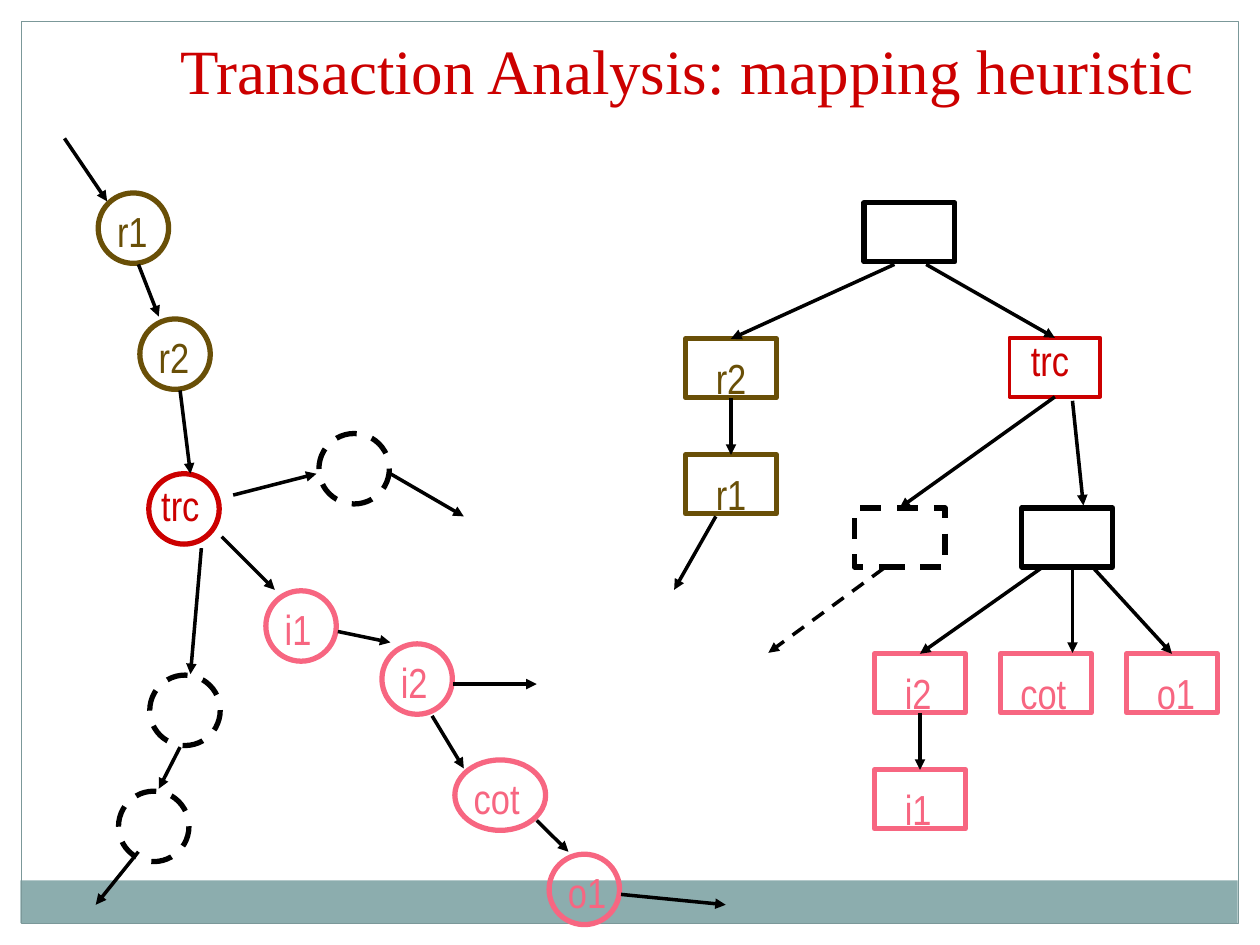
from dataclasses import dataclass
from typing import NamedTuple

from lxml import etree
from pptx import Presentation
from pptx.dml.color import RGBColor as Rgb
from pptx.enum.dml import MSO_LINE as Dash
from pptx.enum.shapes import MSO_CONNECTOR as Conn, MSO_SHAPE as Kind
from pptx.enum.text import MSO_AUTO_SIZE as Fit, PP_ALIGN as Align
from pptx.oxml.ns import qn
from pptx.util import Cm, Pt


@dataclass(frozen=True)
class Theme:
    brown: str = "694F07"
    red: str = "CC0000"
    pink: str = "F76681"
    black: str = "000000"
    band: str = "8CADAE"
    frame: str = "7B9899"
    serif: str = "Times New Roman"
    narrow: str = "Arial Narrow"
    title: int = 36
    label: int = 24
    node: float = 3
    arrow: float = 2
    edge: float = 0.75


T = Theme()
CIRCLE = (1.42, 1.42)
BOX = (1.83, 1.19)
LABEL_W = {"r1": 1.14, "r2": 1.14, "i1": 1.04, "i2": 1.04,
           "trc": 1.3, "o1": 1.3, "cot": 1.45}
BOTTOM, TOP = 2, 0


class Node(NamedTuple):
    key: str
    x: float
    y: float
    color: str
    text: str = ""
    size: tuple = CIRCLE
    shift: tuple = (0.13, 0.13)  # label offset from the outline
    kind: Kind = Kind.OVAL
    width: float = T.node
    dash: bool = False


class Arrow(NamedTuple):
    x1: float
    y1: float
    x2: float
    y2: float
    start: str = ""  # box joined at its bottom
    end: str = ""    # box joined at its top
    dash: bool = False


def box(key: str, x: float, y: float, color: str, text: str = "",
        shift: tuple = (0.36, 0.15), **more) -> Node:
    return Node(key, x, y, color, text, BOX, shift, Kind.RECTANGLE, **more)


# Data flow on the left
FLOW = [
    Node("r1", 1.98, 3.89, T.brown, "r1"),
    Node("r2", 2.82, 6.43, T.brown, "r2"),
    Node("trc", 3, 9.55, T.red, "trc", shift=(0, 0)),
    Node("i1", 5.36, 11.91, T.pink, "i1"),
    Node("i2", 7.7, 12.98, T.pink, "i2"),
    Node("cot", 9.17, 15.32, T.pink, "cot", size=(1.83, 1.42)),
    Node("o1", 11.07, 17.22, T.pink, "o1"),
    Node("side", 6.43, 8.74, T.black, dash=True),
    Node("low", 3.02, 13.61, T.black, dash=True),
    Node("last", 2.39, 15.95, T.black, dash=True),
]
FLOW_ARROWS = [
    Arrow(1.3, 2.79, 2.16, 4.06),
    Arrow(2.79, 5.33, 3.2, 6.38),
    Arrow(3.63, 7.87, 3.84, 9.55),
    Arrow(4.47, 10.82, 5.54, 11.89),
    Arrow(6.81, 12.73, 7.87, 12.95),
    Arrow(9.14, 13.79, 10.82, 13.79),
    Arrow(8.71, 14.43, 9.35, 15.49),
    Arrow(10.82, 16.54, 11.46, 17.17),
    Arrow(12.52, 18.03, 14.63, 18.24),
    Arrow(4.06, 11.05, 3.84, 13.59),
    Arrow(3.63, 15.06, 3.2, 15.9),
    Arrow(2.79, 17.17, 1.93, 18.24),
    Arrow(4.7, 9.98, 6.38, 9.55),
    Arrow(7.87, 9.55, 9.35, 10.41),
]

# Module tree on the right
LEAF_X, LEAF_Y, STEP = 17.63, 13.18, 2.54
TREE = [
    box("root", 17.42, 4.09, T.black),
    box("r2", 13.82, 6.83, T.brown, "r2"),
    box("r1", 13.82, 9.17, T.brown, "r1"),
    box("trc", 20.35, 6.81, T.red, "trc", (0.18, -0.2), width=T.arrow),
    box("left", 17.22, 10.24, T.black, dash=True),
    box("right", 20.6, 10.24, T.black),
    box("i2", LEAF_X, LEAF_Y, T.pink, "i2"),
    box("cot", LEAF_X + STEP, LEAF_Y, T.pink, "cot", (0.15, 0.15)),
    box("o1", LEAF_X + 2 * STEP, LEAF_Y, T.pink, "o1"),
    box("i1", LEAF_X, 15.52, T.pink, "i1"),
]
TREE_ARROWS = [
    Arrow(18.03, 5.33, 14.86, 6.81, end="r2"),
    Arrow(18.67, 5.33, 21.21, 6.81, end="trc"),
    Arrow(14.63, 8.08, 14.63, 9.14, "r2", "r1"),
    Arrow(14.43, 10.41, 13.59, 11.89),
    Arrow(21.21, 8.08, 18.03, 10.19, "trc", "left"),
    Arrow(21.62, 8.08, 21.84, 10.19),
    Arrow(17.81, 11.46, 15.49, 13.16, dash=True),
    Arrow(20.98, 11.46, 18.67, 13.16, end="i2"),
    Arrow(21.62, 11.46, 21.62, 13.16),
    Arrow(22.05, 11.46, 23.75, 13.16, end="o1"),
    Arrow(18.67, 14.43, 18.67, 15.49, "i2", "i1"),
]


def style(item, **values) -> None:
    for name, value in values.items():
        setattr(item, name, value)


def stroke(line, color: str, width: float, dash: bool = False) -> None:
    line.color.rgb = Rgb.from_string(color)
    style(line, width=Pt(width), dash_style=Dash.DASH if dash else None)


def shape(slide, kind: Kind, *area: float):
    item = slide.shapes.add_shape(kind, *map(Cm, area))
    item.shadow.inherit = False
    item.fill.background()
    return item


def write(slide, text: str, area: tuple, face: str, size: int,
          color: str, wrap: bool) -> None:
    frame = slide.shapes.add_textbox(*map(Cm, area)).text_frame
    style(frame, word_wrap=wrap, auto_size=Fit.SHAPE_TO_FIT_TEXT)
    para = frame.paragraphs[0]
    style(para, text=text, alignment=Align.LEFT)
    font = para.runs[0].font
    style(font, name=face, size=Pt(size))
    font.color.rgb = Rgb.from_string(color)


def draw_node(slide, node: Node):
    item = shape(slide, node.kind, node.x, node.y, *node.size)
    stroke(item.line, node.color, node.width, node.dash)
    if node.text:
        dx, dy = node.shift
        area = (node.x + dx, node.y + dy, LABEL_W[node.text], 1.27)
        write(slide, node.text, area, T.narrow, T.label, node.color, False)
    return item


def draw_arrow(slide, arrow: Arrow, boxes: dict) -> None:
    link = slide.shapes.add_connector(Conn.STRAIGHT, *map(Cm, arrow[:4]))
    if arrow.start:
        link.begin_connect(boxes[arrow.start], BOTTOM)
    if arrow.end:
        link.end_connect(boxes[arrow.end], TOP)
    stroke(link.line, T.black, T.arrow, arrow.dash)
    props = link.line._get_or_add_ln()
    etree.SubElement(props, qn("a:tailEnd"), type="triangle")
    etree.SubElement(link._element.spPr, qn("a:effectLst"))


def main() -> None:
    deck = Presentation()
    style(deck, slide_width=Cm(25.4), slide_height=Cm(19.05))
    slide = deck.slides.add_slide(deck.slide_layouts[6])

    # Footer band and page frame
    band = shape(slide, Kind.RECTANGLE, 0.41, 17.75, 24.54, 0.86)
    band.fill.solid()
    band.fill.fore_color.rgb = Rgb.from_string(T.band)
    band.line.fill.background()
    page = shape(slide, Kind.RECTANGLE, 0.43, 0.43, 24.54, 18.19)
    stroke(page.line, T.frame, T.edge)

    # Title
    write(slide, "Transaction Analysis: mapping heuristic",
          (3.38, 0.51, 21.39, 1.78), T.serif, T.title, T.red, True)

    # Both diagrams
    for nodes, arrows in ((FLOW, FLOW_ARROWS), (TREE, TREE_ARROWS)):
        drawn = {node.key: draw_node(slide, node) for node in nodes}
        for arrow in arrows:
            draw_arrow(slide, arrow, drawn)

    deck.save("out.pptx")


if __name__ == "__main__":
    main()
